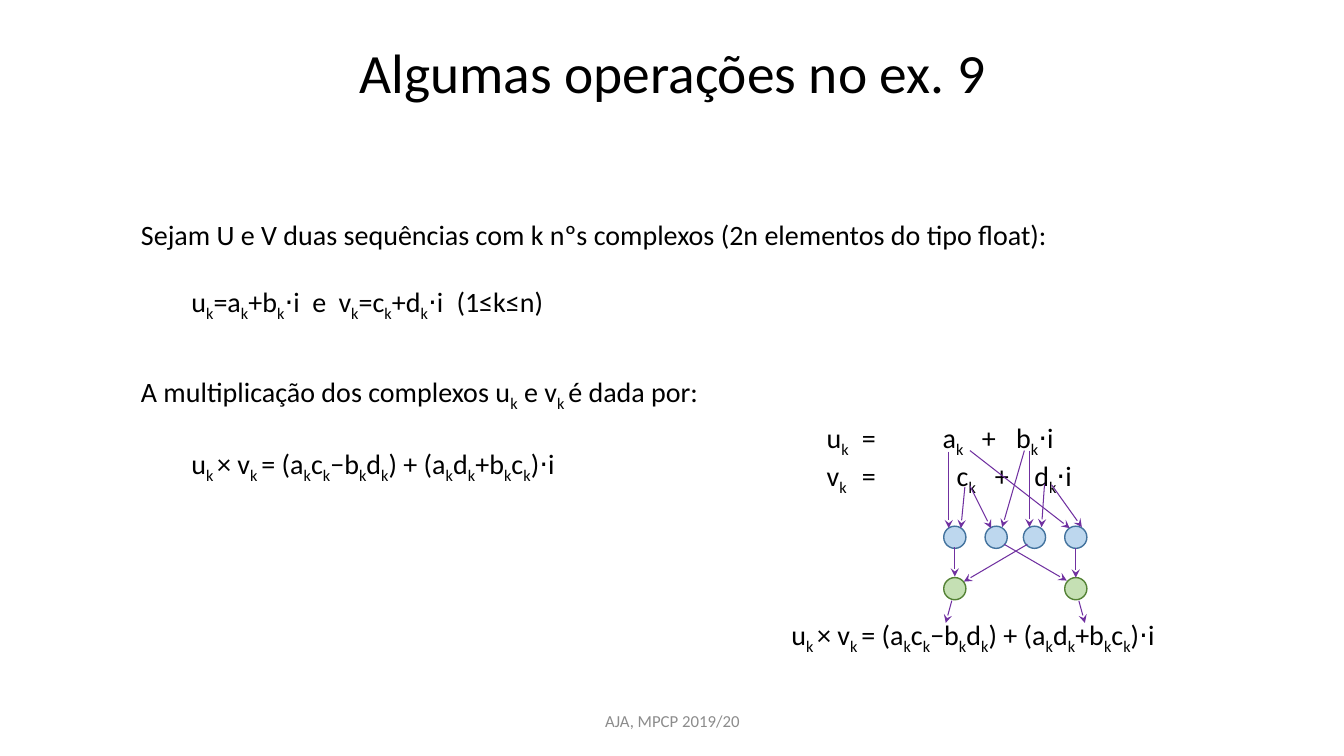
from lxml import etree
from pptx import Presentation
from pptx import util as u
from pptx.dml.color import RGBColor
from pptx.enum import shapes, text
from pptx.oxml.ns import qn

BLACK = RGBColor(0x00, 0x00, 0x00)
GRAY = RGBColor(0x8C, 0x8C, 0x8C)
PURPLE = RGBColor(0x70, 0x30, 0xA0)
BLUE = RGBColor(0xBD, 0xD7, 0xEE)
BLUE_EDGE = RGBColor(0x43, 0x73, 0x9E)
GREEN = RGBColor(0xC5, 0xE0, 0xB4)
GREEN_EDGE = RGBColor(0x54, 0x82, 0x35)

PRODUCT = "u|k |× v|k |= (a|k|c|k|−b|k|d|k|) + (a|k|d|k|+b|k|c|k|)⋅i"
NODE = 0.22


class Deck:
    font = "Calibri"

    def __init__(self):
        self.prs = Presentation()
        self.prs.slide_width = u.Inches(13.33)
        self.prs.slide_height = u.Inches(7.5)
        self.s = self.prs.slides.add_slide(self.prs.slide_layouts[5])

    def style(self, p, size, color):
        for r in p.runs:
            r.font.name = self.font
            r.font.size = u.Pt(size)
            r.font.color.rgb = color

    def title(self, words, left, top, width, height):
        sp = self.s.shapes.title
        sp.left, sp.top = u.Inches(left), u.Inches(top)
        sp.width, sp.height = u.Inches(width), u.Inches(height)
        tf = sp.text_frame
        tf.text = words
        tf.vertical_anchor = text.MSO_ANCHOR.TOP
        p = tf.paragraphs[0]
        p.alignment = text.PP_ALIGN.CENTER
        p.line_spacing = 0.9
        self.style(p, 39.6, BLACK)

    def textbox(self, lines, left, top, width, height, size=20, color=BLACK, gap=0, tabs=()):
        sp = self.s.shapes.add_textbox(*map(u.Inches, (left, top, width, height)))
        tf = sp.text_frame
        tf.word_wrap = True
        for i, line in enumerate(lines):
            p = tf.add_paragraph() if i else tf.paragraphs[0]
            if tabs and tabs[i]:
                self.tab_stops(p, tabs[i])
            if i and gap:
                p.space_before = u.Pt(gap)
            for j, piece in enumerate(line.split("|")):
                r = p.add_run()
                r.text = piece
                if j % 2:
                    r._r.get_or_add_rPr().set("baseline", "-25000")
            self.style(p, size, color)
        return tf

    def tab_stops(self, p, stops):
        tab_list = etree.SubElement(p._p.get_or_add_pPr(), qn("a:tabLst"))
        for stop in stops:
            etree.SubElement(tab_list, qn("a:tab"), pos=str(u.Inches(stop)), algn="l")

    def node(self, left, top, fill, edge):
        sp = self.s.shapes.add_shape(
            shapes.MSO_SHAPE.OVAL, *map(u.Inches, (left, top, NODE, NODE)))
        sp.shadow.inherit = False
        sp.fill.solid()
        sp.fill.fore_color.rgb = fill
        sp.line.color.rgb = edge
        sp.line.width = u.Pt(1)

    def arrow(self, x1, y1, x2, y2):
        c = self.s.shapes.add_connector(
            shapes.MSO_CONNECTOR.STRAIGHT, *map(u.Inches, (x1, y1, x2, y2)))
        c.line.color.rgb = PURPLE
        c.line.width = u.Pt(0.75)
        etree.SubElement(c.line._get_or_add_ln(), qn("a:tailEnd"), type="stealth")
        etree.SubElement(c._element.spPr, qn("a:effectLst"))


def main():
    d = Deck()
    d.title("Algumas operações no ex. 9", 0.92, 0.4, 11.5, 1.2)

    tf = d.textbox(["AJA, MPCP 2019/20"], 4.42, 6.95, 4.5, 0.4, size=12, color=GRAY)
    tf.vertical_anchor = text.MSO_ANCHOR.MIDDLE
    tf.paragraphs[0].alignment = text.PP_ALIGN.CENTER

    d.textbox(["Sejam U e V duas sequências com k nºs complexos (2n elementos do tipo float):",
               "\tu|k|=a|k|+b|k|⋅i\te\tv|k|=c|k|+d|k|⋅i\t(1≤k≤n)"],
              1.3, 2.11, 9.76, 1.11, gap=24, tabs=[(), (0.5, 1.7, 1.96, 3.13)])
    d.textbox(["A multiplicação dos complexos u|k| e v|k |é dada por:", "\t" + PRODUCT],
              1.3, 3.67, 6.23, 1.11, gap=24, tabs=[(), (0.5,)])
    d.textbox(["u|k|\t=\ta|k|\t+\tb|k|⋅i", "v|k|\t=\tc|k|\t+\td|k|⋅i"],
              8.1, 4.12, 3.55, 0.77,
              tabs=[(0.35, 1.15, 1.54, 1.88), (0.35, 1.29, 1.67, 2.06)])
    d.textbox([PRODUCT], 7.75, 6.08, 4.21, 0.44)

    for left in (9.36, 9.77, 10.15, 10.56):
        d.node(left, 5.22, BLUE, BLUE_EDGE)
    for left in (9.36, 10.56):
        d.node(left, 5.73, GREEN, GREEN_EDGE)

    factor_arrows = [
        (9.41, 4.48, 9.41, 5.24), (9.57, 4.83, 9.53, 5.24),
        (9.62, 4.47, 10.61, 5.24), (10.43, 4.81, 10.73, 5.23),
        (9.62, 4.82, 9.83, 5.24), (10.16, 4.47, 9.94, 5.23),
        (10.21, 4.47, 10.21, 5.23), (10.36, 4.8, 10.33, 5.23)]
    sum_arrows = [
        (9.47, 5.43, 9.47, 5.72), (10.19, 5.4, 9.56, 5.77),
        (9.96, 5.4, 10.58, 5.76), (10.67, 5.44, 10.67, 5.73)]
    result_arrows = [(9.44, 5.96, 9.38, 6.18), (10.7, 5.96, 10.76, 6.18)]
    for ends in factor_arrows + sum_arrows + result_arrows:
        d.arrow(*ends)

    d.prs.save("out.pptx")


if __name__ == "__main__":
    main()
